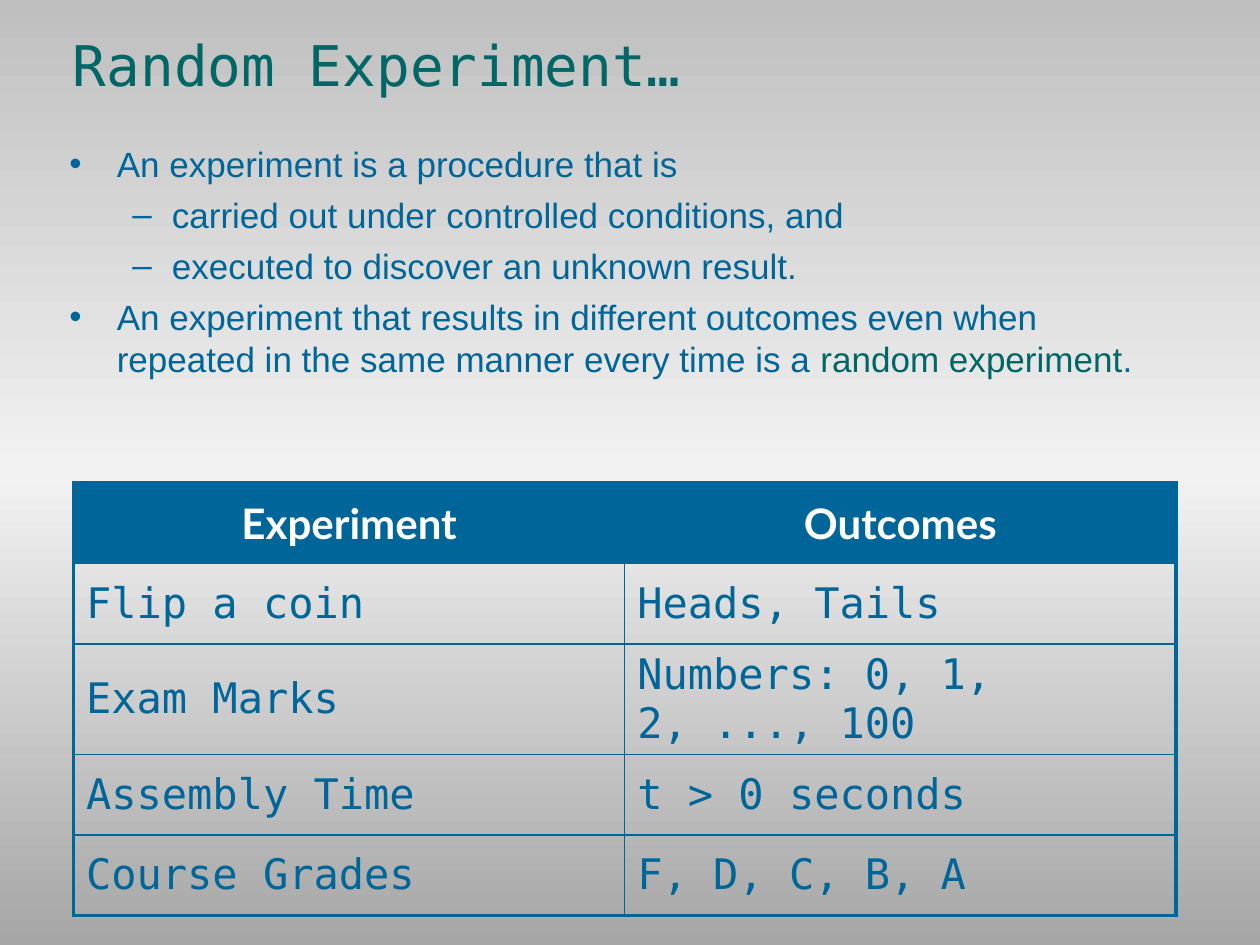
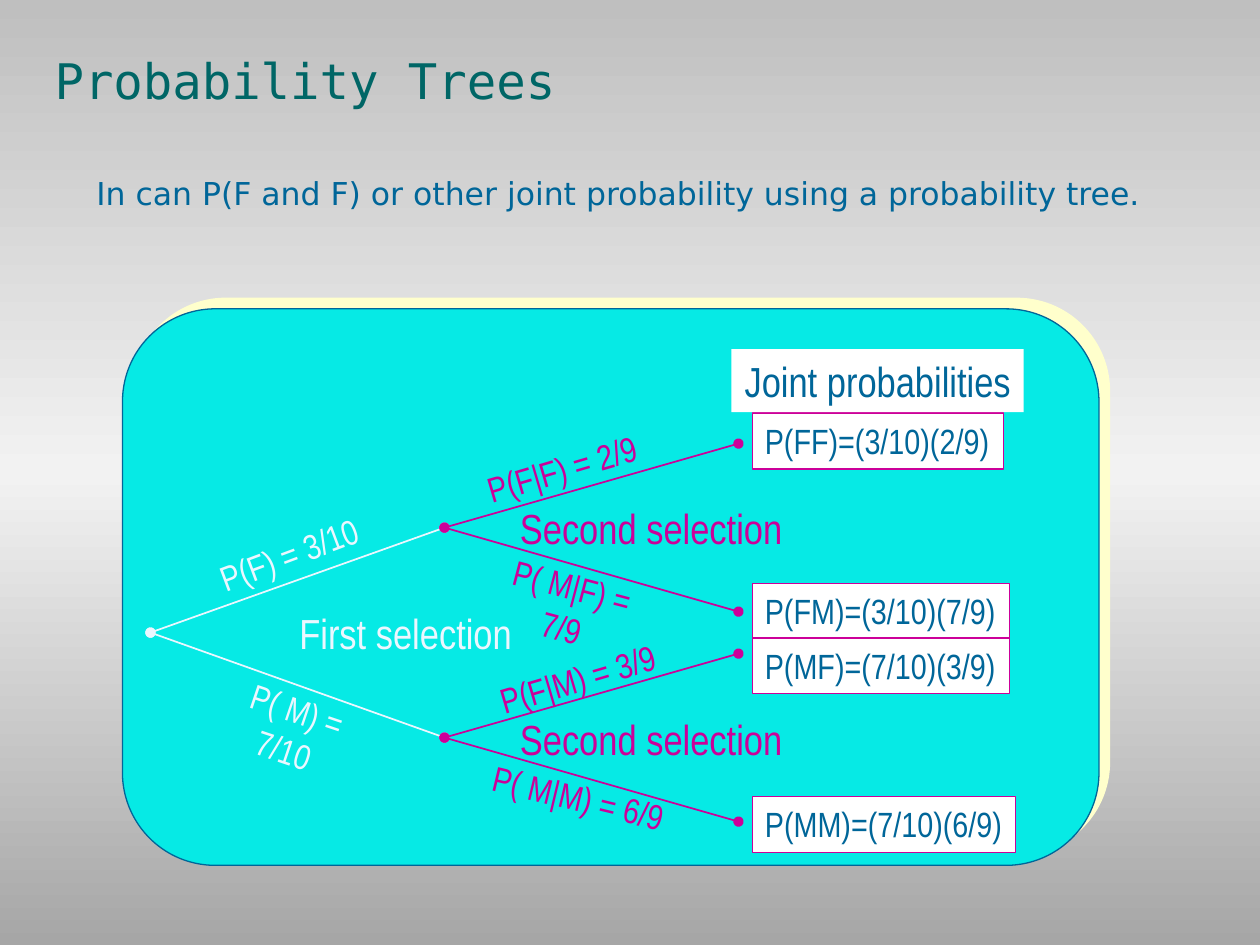
import pptx
import pptx.util
import pptx.dml.color
import pptx.enum.shapes
import pptx.enum.text
import pptx.oxml
import pptx.oxml.ns
from lxml import etree

Pt = pptx.util.Pt
qn = pptx.oxml.ns.qn
ALIGN = pptx.enum.text.PP_ALIGN
ANCHOR = pptx.enum.text.MSO_ANCHOR
SHAPE = pptx.enum.shapes.MSO_SHAPE

BLUE, GREEN, MAGENTA = "006699", "006666", "CC0099"
PALE, AQUA, CREAM, WHITE = "EBF7FF", "06EAE5", "FFFFCC", "FFFFFF"
MONO, NARROW = "DejaVu Sans Mono", "Arial Narrow"


def color(value):
    return pptx.dml.color.RGBColor.from_string(value)


def write(para, text, font=MONO, size=24, ink=BLUE, bold=False, align=ALIGN.LEFT):
    para.alignment = align
    span = para.add_run()
    span.text = text
    span.font.name = font
    span.font.size = Pt(size)
    span.font.bold = bold
    span.font.color.rgb = color(ink)


deck = pptx.Presentation()
deck.slide_width, deck.slide_height = Pt(720), Pt(540)

# Shared gradient background
master = deck.slide_master
master.background.fill.gradient()
gradient = master.element.find(".//" + qn("a:gradFill"))
stops = gradient.find(qn("a:gsLst"))
for stop in list(stops):
    stops.remove(stop)
for position, shade in [(0, "BFBFBF"), (50, "F2F2F2"), (100, "A6A6A6")]:
    stop = etree.SubElement(stops, qn("a:gs"), pos=str(position * 1000))
    etree.SubElement(stop, qn("a:srgbClr"), val=shade)
gradient.find(qn("a:lin")).set("ang", "5400000")

# Pages and their titles
pages = []
for layout, text, size, anchor, place in [
    (1, "Random Experiment…", 32, ANCHOR.BOTTOM, (34.5, 8, 649.5, 52)),
    (5, "Probability Trees", 28, ANCHOR.MIDDLE, (24, 24, 678, 48)),
]:
    page = deck.slides.add_slide(deck.slide_layouts[layout])
    title = page.shapes.title
    title.left, title.top, title.width, title.height = map(Pt, place)
    title.text_frame.auto_size = pptx.enum.text.MSO_AUTO_SIZE.NONE
    title.text_frame.vertical_anchor = anchor
    para = title.text_frame.paragraphs[0]
    para.line_spacing = 0.9
    write(para, text, size=size, ink=GREEN)
    pages.append(page)
experiment_page, tree_page = pages

# Definition list
body = experiment_page.placeholders[1]
body.left, body.top, body.width, body.height = map(Pt, (32.5, 78, 648, 156))
frame = body.text_frame
frame.auto_size = pptx.enum.text.MSO_AUTO_SIZE.NONE
bullets = [("•", 27, -27), ("–", 58.5, -22.5)]
points = [
    (0, [("An experiment is a procedure that is", BLUE)]),
    (1, [("carried out under controlled conditions, and", BLUE)]),
    (1, [("executed to discover an unknown result.", BLUE)]),
    (0, [("An experiment that results in different outcomes even when repeated "
          "in the same manner every time is a ", BLUE),
         ("random experiment", GREEN), (".", BLUE)]),
]
for index, (level, parts) in enumerate(points):
    para = frame.add_paragraph() if index else frame.paragraphs[0]
    para.level = level
    mark, margin, indent = bullets[level]
    properties = para._p.get_or_add_pPr()
    properties.set("marL", str(Pt(margin)))
    properties.set("indent", str(Pt(indent)))
    etree.SubElement(properties, qn("a:buChar"), char=mark)
    para.space_before = Pt(5 if index else 0)
    for text, ink in parts:
        write(para, text, font="Arial", size=20, ink=ink)

# Table of experiments and outcomes
rows = [
    ("Experiment", "Outcomes"),
    ("Flip a coin", "Heads, Tails"),
    ("Exam Marks", "Numbers: 0, 1, 2, ..., 100"),
    ("Assembly Time", "t > 0 seconds"),
    ("Course Grades", "F, D, C, B, A"),
]
table = experiment_page.shapes.add_table(
    len(rows), 2, Pt(42), Pt(276), Pt(630), Pt(46 * len(rows))).table
table.first_row = table.horz_banding = False
for row, texts in enumerate(rows):
    for column, text in enumerate(texts):
        cell = table.cell(row, column)
        cell.vertical_anchor = ANCHOR.MIDDLE
        outer = {"lnL": column == 0, "lnR": column == 1,
                 "lnT": row == 0, "lnB": row == len(rows) - 1}
        for side, is_outer in outer.items():
            border = etree.SubElement(cell._tc.get_or_add_tcPr(), qn("a:" + side),
                                      w=str(Pt(2.25 if is_outer else 1)))
            fill = etree.SubElement(border, qn("a:solidFill"))
            etree.SubElement(fill, qn("a:srgbClr"), val=BLUE)
        para = cell.text_frame.paragraphs[0]
        if row == 0:
            cell.fill.solid()
            cell.fill.fore_color.rgb = color(BLUE)
            write(para, text, font="Lato", ink=WHITE, bold=True, align=ALIGN.CENTER)
        else:
            cell.fill.background()
            write(para, text)

# Tree panel with an offset shadow
shapes = tree_page.shapes
panel = shapes.add_shape(SHAPE.ROUNDED_RECTANGLE, Pt(70), Pt(176.5), Pt(558), Pt(318))
panel.fill.solid()
panel.fill.fore_color.rgb = color(AQUA)
panel.line.color.rgb = color(BLUE)
panel.line.width = Pt(0.75)
panel.shadow.inherit = False
shadow = etree.SubElement(
    panel._element.spPr.find(qn("a:effectLst")), qn("a:outerShdw"), blurRad="0",
    dist=str(Pt(8.5)), dir=str(315 * 60000), algn="ctr", rotWithShape="0")
etree.SubElement(shadow, qn("a:srgbClr"), val=CREAM)

# Branches: each node splits evenly up and down
root_x, root_y, step = 86, 361.5, 168
branches = []
for first in (-60, 60):
    node_x, node_y = root_x + step, root_y + first
    branches.append((root_x, root_y, node_x, node_y, PALE))
    for second in (-48, 48):
        branches.append((node_x, node_y, node_x + step, node_y + second, MAGENTA))
branches.sort(key=lambda branch: branch[0])
for *ends, ink in branches:
    branch = shapes.add_connector(
        pptx.enum.shapes.MSO_CONNECTOR.STRAIGHT, *map(Pt, ends))
    branch.line.color.rgb = color(ink)
    branch.line.width = Pt(1)
    for end in ("a:headEnd", "a:tailEnd"):
        etree.SubElement(branch.line._get_or_add_ln(), qn(end), type="oval")
    etree.SubElement(branch._element.spPr, qn("a:effectLst"))

# Branch labels: text, left, top, width, rotation, ink
labels = [
    ("First selection", 164, 343.5, 136, 0, PALE),
    ("P(F) = 3/10", 116.5, 301, 97, 339.5, PALE),
    ("P( M) = 7/10", 117.5, 390, 105, 18.7, PALE),
    ("Second selection", 290, 283.5, 165, 0, MAGENTA),
    ("Second selection", 290, 404, 165, 0, MAGENTA),
    ("P(F|M) = 3/9", 277, 372, 106, 343.6, MAGENTA),
    ("P(F|F) = 2/9", 270, 252, 102, 343.6, MAGENTA),
    ("P( M|M) = 6/9", 273.5, 440, 114, 13.5, MAGENTA),
    ("P( M|F) = 7/9", 272, 319.5, 110, 14.8, MAGENTA),
]
boxes = []
for text, left, top, width, rotation, ink in labels:
    box = shapes.add_textbox(Pt(left), Pt(top), Pt(width), Pt(31 if rotation else 36))
    box.rotation = rotation
    write(box.text_frame.paragraphs[0], text, font=NARROW, ink=ink,
          size=20 if rotation else 24, align=ALIGN.CENTER if rotation else ALIGN.LEFT)
    boxes.append(box)

# Joint probabilities: text, left, top, width, height, size, align, outline
results = [
    ("P(FF)=(3/10)(2/9)", 236, 143.5),
    ("P(FM)=(3/10)(7/9)", 333.5, 147),
    ("P(MF)=(7/10)(3/9)", 364.5, 147),
    ("P(MM)=(7/10)(6/9)", 455, 150.5),
]
cards = [(text, 430, top, width, 32, 20, ALIGN.LEFT, MAGENTA)
         for text, top, width in results]
cards.append(("Joint probabilities", 418, 199.5, 167, 36, 24, ALIGN.CENTER, None))
for text, left, top, width, height, size, align, outline in cards:
    box = shapes.add_shape(SHAPE.RECTANGLE, Pt(left), Pt(top), Pt(width), Pt(height))
    box.shadow.inherit = False
    box.fill.solid()
    box.fill.fore_color.rgb = color(WHITE)
    if outline:
        box.line.color.rgb = color(outline)
        box.line.width = Pt(0.75)
    else:
        box.line.fill.background()
    write(box.text_frame.paragraphs[0], text, font=NARROW, size=size, align=align)
    boxes.append(box)

for box in boxes:
    box.text_frame.word_wrap = False
    box.text_frame.vertical_anchor = ANCHOR.TOP
    box.text_frame.auto_size = pptx.enum.text.MSO_AUTO_SIZE.SHAPE_TO_FIT_TEXT

# Introductory sentence
intro = shapes.add_textbox(Pt(48), Pt(96), Pt(618), Pt(50))
intro.text_frame.word_wrap = True
write(intro.text_frame.paragraphs[0],
      "In can P(F and F) or other joint probability using a probability tree.",
      font="DejaVu Sans", size=18)

deck.save("out.pptx")
